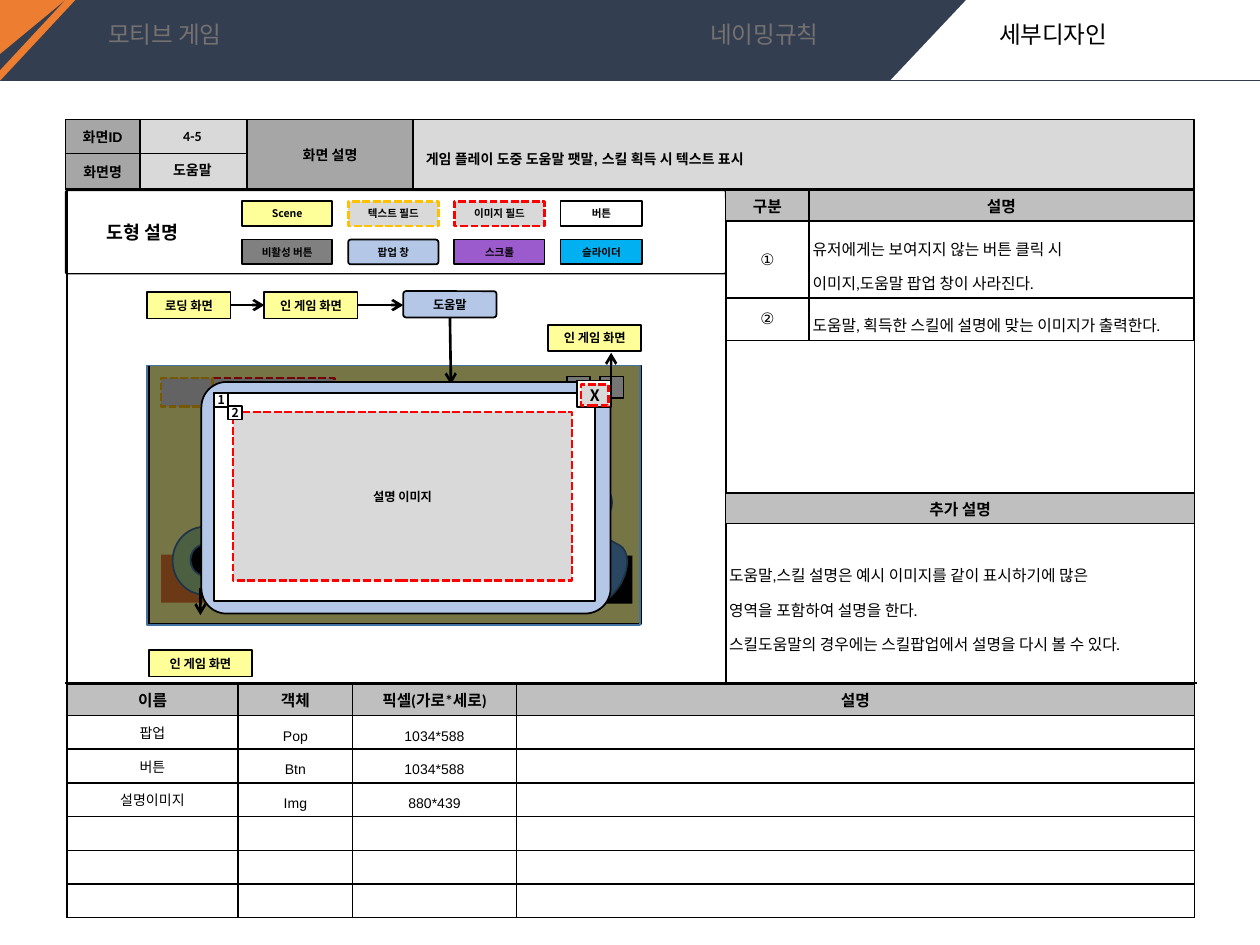
from dataclasses import dataclass
from typing import NamedTuple, Optional

from lxml import etree
from pptx import Presentation
from pptx import util as u
from pptx.dml.color import RGBColor
from pptx.enum import dml, shapes, text
from pptx.oxml.ns import qn

BLACK = RGBColor(0x00, 0x00, 0x00)
WHITE = RGBColor(0xFF, 0xFF, 0xFF)
NAVY = RGBColor(0x33, 0x3F, 0x50)
ORANGE = RGBColor(0xED, 0x7D, 0x31)
MUTED = RGBColor(0x76, 0x71, 0x71)
DARK_GRAY = RGBColor(0x80, 0x80, 0x80)
LABEL_GRAY = RGBColor(0xA6, 0xA6, 0xA6)
HEAD_GRAY = RGBColor(0xBF, 0xBF, 0xBF)
LIGHT_GRAY = RGBColor(0xD9, 0xD9, 0xD9)
YELLOW = RGBColor(0xFF, 0xFF, 0x99)
GOLD = RGBColor(0xFF, 0xC0, 0x00)
RED = RGBColor(0xFF, 0x00, 0x00)
PALE_BLUE = RGBColor(0xB4, 0xC7, 0xE7)
SKY = RGBColor(0x00, 0xB0, 0xF0)
BLUE = RGBColor(0x5B, 0x9B, 0xD5)
EDGE_BLUE = RGBColor(0x43, 0x73, 0x9E)
PURPLE = RGBColor(0x9C, 0x5B, 0xCD)
GREEN = RGBColor(0xA9, 0xD1, 0x8E)

KOREAN = "Noto Sans CJK KR"
CENTER, LEFT = text.PP_ALIGN.CENTER, text.PP_ALIGN.LEFT
MIDDLE = text.MSO_ANCHOR.MIDDLE
RECT = shapes.MSO_SHAPE.RECTANGLE
ROUND = shapes.MSO_SHAPE.ROUNDED_RECTANGLE
OVAL = shapes.MSO_SHAPE.OVAL
SLANT = shapes.MSO_SHAPE.PARALLELOGRAM


@dataclass(frozen=True)
class Look:
    fill: Optional[RGBColor] = None
    line: Optional[RGBColor] = BLACK
    width: float = 1
    dashed: bool = False
    form: shapes.MSO_SHAPE = RECT
    bend: Optional[float] = None
    alpha: Optional[int] = None


@dataclass(frozen=True)
class Type:
    size: float
    font: str = KOREAN
    bold: bool = True
    align: text.PP_ALIGN = CENTER
    spacing: Optional[float] = None
    color: RGBColor = BLACK


class Item(NamedTuple):
    look: Look
    place: tuple
    words: str = ""
    size: float = 7


class Cell(NamedTuple):
    words: str = ""
    kind: Type = Type(8, "Arial")
    fill: Optional[RGBColor] = WHITE


SCENE = Look(YELLOW)
BUTTON = Look(WHITE)
POPUP = Look(PALE_BLUE, form=ROUND, bend=0.109)
TEXT_FIELD = Look(LIGHT_GRAY, GOLD, 1.5, True)
IMAGE_FIELD = Look(LIGHT_GRAY, RED, 1.5, True)
HEADING = Type(9, "Calibri")
NOTE = Type(9, "Calibri", False, LEFT, 1.5)
NUMBER = Type(9, "Arial", False)
NAME = Type(8, "Arial", False)
VALUE = Type(8, "Arial", False, spacing=1.5)


def cm(values: tuple) -> list:
    return [u.Cm(value) for value in values]


def write(frame, words: str, kind: Type) -> None:
    para = frame.paragraphs[0]
    para.text = words
    para.alignment = kind.align
    if kind.spacing:
        para.line_spacing = kind.spacing
    for span in para.runs:
        font = span.font
        font.size, font.bold, font.name = u.Pt(kind.size), kind.bold, kind.font
        font.color.rgb = kind.color
        etree.SubElement(font._element, qn("a:ea"), typeface=KOREAN)
    if not words:
        etree.SubElement(para._p, qn("a:endParaRPr"), sz=str(int(kind.size * 100)))


def paint(box, look: Look) -> None:
    box.shadow.inherit = False
    if look.fill is None:
        box.fill.background()
    else:
        box.fill.solid()
        box.fill.fore_color.rgb = look.fill
    if look.alpha:
        color = box.fill._xPr.find(qn("a:solidFill"))[0]
        etree.SubElement(color, qn("a:alpha"), val=str(look.alpha * 1000))
    if look.line is None:
        box.line.fill.background()
    else:
        box.line.color.rgb = look.line
        box.line.width = u.Pt(look.width)
    if look.dashed:
        box.line.dash_style = dml.MSO_LINE.SQUARE_DOT


def draw(page, item: Item) -> None:
    box = page.shapes.add_shape(item.look.form, *cm(item.place))
    if item.look.bend is not None:
        box.adjustments[0] = item.look.bend
    paint(box, item.look)
    if item.words:
        frame = box.text_frame
        frame.margin_left = frame.margin_right = frame.margin_top = frame.margin_bottom = 0
        frame.vertical_anchor = MIDDLE
        write(frame, item.words, Type(item.size))


def outline(page, points: list, look: Look) -> None:
    builder = page.shapes.build_freeform(*cm(points[0]), scale=1.0)
    builder.add_line_segments([cm(point) for point in points[1:]], close=True)
    paint(builder.convert_to_shape(), look)


def curve(start: tuple, *controls: tuple) -> list:
    corners = (start, *controls)
    weights = lambda t: ((1 - t) ** 3, 3 * t * (1 - t) ** 2, 3 * t * t * (1 - t), t ** 3)
    return [tuple(sum(w * c[axis] for w, c in zip(weights(step / 8), corners)) for axis in (0, 1))
            for step in range(1, 9)]


def connect(page, ends: tuple, width: float = 1.5, arrow: bool = True) -> None:
    line = page.shapes.add_connector(shapes.MSO_CONNECTOR.STRAIGHT, *cm(ends))
    line.line.color.rgb = BLACK
    line.line.width = u.Pt(width)
    if arrow:
        etree.SubElement(line.line._ln, qn("a:tailEnd"), type="arrow")
    etree.SubElement(line._element.spPr, qn("a:effectLst"))


def label(page, place: tuple, words: str, kind: Type) -> None:
    box = page.shapes.add_textbox(*cm(place))
    box.text_frame.word_wrap = True
    write(box.text_frame, words, kind)


def grid(page, corner: tuple, columns: tuple, rows: tuple, cells: list):
    table = page.shapes.add_table(len(rows), len(columns), *cm((*corner, sum(columns), sum(rows)))).table
    table.first_row = table.horz_banding = False
    for column, width in zip(table.columns, columns):
        column.width = u.Cm(width)
    for row, height, entries in zip(table.rows, rows, cells):
        row.height = u.Cm(height)
        for cell, entry in zip(row.cells, entries):
            cell.margin_left = cell.margin_right = cell.margin_top = cell.margin_bottom = u.Cm(0.07)
            cell.vertical_anchor = MIDDLE
            write(cell.text_frame, entry.words, entry.kind)
            for side in ("lnL", "lnR", "lnT", "lnB"):
                edge = etree.SubElement(cell._tc.get_or_add_tcPr(), qn(f"a:{side}"), w=str(u.Pt(1)))
                etree.SubElement(etree.SubElement(edge, qn("a:solidFill")), qn("a:srgbClr"), val=str(BLACK))
            if entry.fill is None:
                cell.fill.background()
            else:
                cell.fill.solid()
                cell.fill.fore_color.rgb = entry.fill
    return table


def fill_body(page, box, place: tuple, words: str, kind: Type, before: float) -> None:
    box.left, box.top, box.width, box.height = cm(place)
    frame = box.text_frame
    frame.auto_size = text.MSO_AUTO_SIZE.NONE
    frame.vertical_anchor = MIDDLE
    write(frame, words, kind)
    para = frame.paragraphs[0]
    para.space_before = u.Pt(before)
    settings = para._p.get_or_add_pPr()
    settings.set("marL", "0")
    settings.set("indent", "0")
    etree.SubElement(settings, qn("a:buNone"))
    page.shapes.element.append(box.element)


def draw_header(page) -> None:
    draw(page, Item(Look(), (1.35, 2.41, 22.73, 16.05)))
    draw(page, Item(Look(NAVY, None), (0, 0, 25.4, 1.63)))
    draw(page, Item(Look(WHITE, None, form=SLANT, bend=0.943), (17.96, -0.02, 7.44, 1.63)))
    outline(page, [(1.32, 0), (1.52, 0), (0, 1.63), (0, 1.42)], Look(ORANGE, None))
    outline(page, [(0, 0), (1.32, 0), (0, 1.09)], Look(ORANGE, None))
    for left, words, color in ((14.07, "네이밍규칙", MUTED), (19.89, "세부디자인", BLACK), (1.93, "모티브 게임", MUTED)):
        label(page, (left, 0.28, 3.9, 0.84), words, Type(13.5, "Calibri", False, LEFT, color=color))
    draw(page, Item(Look(WHITE, None), (23.72, -0.02, 1.68, 1.63)))
    tag, blank = LABEL_GRAY, Cell(fill=LIGHT_GRAY)
    table = grid(page, (1.32, 2.41), (1.5, 2.16, 3.35, 15.73), (0.69, 0.71),
                 [[Cell("화면ID", fill=tag), blank, Cell("화면 설명", fill=tag), blank],
                  [Cell("화면명", fill=tag), blank, Cell(fill=tag), blank]])
    for column in (2, 3):
        table.cell(0, column).merge(table.cell(1, column))
    short, long = Type(8, "Arial", spacing=0.9), Type(8, "Arial", align=LEFT, spacing=1.5)
    bodies = {box.placeholder_format.idx: box for box in page.placeholders}
    fill_body(page, bodies[1], (8.33, 2.44, 15.72, 1.37), "게임 플레이 도중 도움말 팻말, 스킬 획득 시 텍스트 표시", long, 0)
    fill_body(page, bodies[2], (2.79, 3.1, 2.18, 0.71), "도움말", short, 10)
    fill_body(page, bodies[3], (2.79, 2.41, 2.18, 0.69), "4-5", Type(8, "Calibri", spacing=0.9), 10)
    for index in (0, 4):
        page.shapes.element.remove(bodies[index].element)


def draw_legend(page) -> None:
    draw(page, Item(Look(width=0.75, form=ROUND, bend=0.021), (1.32, 3.84, 13.31, 1.68)))
    label(page, (1.9, 4.34, 2.39, 0.71), "도형 설명", Type(10.5, "Calibri", align=LEFT))
    legend = ((("Scene", SCENE), ("텍스트 필드", TEXT_FIELD), ("이미지 필드", IMAGE_FIELD), ("버튼", BUTTON)),
              (("비활성 버튼", Look(DARK_GRAY)), ("팝업 창", POPUP), ("스크롤", Look(PURPLE)), ("슬라이더", Look(SKY))))
    for row, entries in enumerate(legend):
        for column, (words, look) in enumerate(entries):
            width = 1.65 if column == 3 else 1.82
            draw(page, Item(look, (4.88 + 2.14 * column, 4.06 + 0.77 * row, width, 0.5), words, 6))
    connect(page, (14.63, 3.84, 14.63, 13.77), 1, False)
    connect(page, (1.32, 13.77, 24.13, 13.77), 1, False)


def draw_game(page) -> None:
    for item in (Item(SCENE, (3, 7.37, 9.93, 5.21)), Item(Look(BLACK, None), (5.94, 11.2, 6.81, 0.97)),
                 Item(BUTTON, (11.43, 7.59, 0.46, 0.43)), Item(BUTTON, (12.09, 7.59, 0.48, 0.43)),
                 Item(Look(ORANGE, None), (3.25, 11.18, 2.69, 0.97)),
                 Item(Look(GREEN, EDGE_BLUE, form=OVAL), (3.48, 10.62, 1.3, 1.37)),
                 Item(Look(BLACK, EDGE_BLUE, form=OVAL), (3.84, 10.97, 0.61, 0.64)),
                 Item(IMAGE_FIELD, (4.29, 7.62, 2.46, 0.25)), Item(TEXT_FIELD, (3.25, 7.62, 1.04, 0.58)),
                 Item(Look(BLUE, EDGE_BLUE, form=OVAL), (11.48, 9.7, 0.86, 0.86))):
        draw(page, item)
    outline(page, [(12.17, 10.82), (12.5, 11), *curve((12.5, 11), (12.67, 11.1), (12.7, 11.43), (12.52, 11.76)),
                   *curve((12.52, 11.76), (12.34, 12.07), (12.07, 12.24), (11.89, 12.14)), (11.56, 11.96),
                   *curve((11.56, 11.96), (11.66, 11.76), (11.99, 11.68), (12.09, 11.48))], Look(BLUE, EDGE_BLUE))
    draw(page, Item(Look(BLACK, EDGE_BLUE, alpha=54), (2.97, 7.37, 9.93, 5.23)))


def draw_flow(page) -> None:
    for item in (Item(SCENE, (2.97, 5.89, 1.68, 0.53), "로딩 화면"), Item(SCENE, (5.33, 5.89, 1.88, 0.53), "인 게임 화면"),
                 Item(POPUP, (8.13, 5.87, 1.88, 0.53), "도움말"), Item(SCENE, (11.05, 6.55, 1.88, 0.53), "인 게임 화면"),
                 Item(SCENE, (3, 13.11, 2.08, 0.53), "인 게임 화면")):
        draw(page, item)
    for ends in ((9.07, 6.4, 9.09, 7.75), (4.65, 6.15, 5.33, 6.15), (7.21, 6.15, 8.13, 6.15), (12.32, 7.95, 12.32, 7.11)):
        connect(page, ends)
    for item in (Item(POPUP, (4.06, 7.7, 8.25, 4.67)), Item(BUTTON, (4.32, 7.92, 7.67, 4.19)),
                 Item(BUTTON, (4.32, 7.92, 0.28, 0.28), "1"), Item(IMAGE_FIELD, (4.7, 8.31, 6.83, 3.4), "설명 이미지"),
                 Item(BUTTON, (4.6, 8.18, 0.28, 0.28), "2"), Item(BUTTON, (11.63, 7.67, 0.69, 0.53)),
                 Item(IMAGE_FIELD, (11.71, 7.75, 0.56, 0.43), "X", 9)):
        draw(page, item)
    connect(page, (4.04, 11.86, 4.04, 12.4))


def draw_tables(page) -> None:
    heads = lambda *names: [Cell(name, HEADING, HEAD_GRAY) for name in names]
    grid(page, (14.63, 3.84), (1.68, 7.75), (0.62, 1.55, 0.85),
         [[Cell(name, Type(9, "Arial"), HEAD_GRAY) for name in ("구분", "설명")],
          [Cell("①", NUMBER, None), Cell("유저에게는 보여지지 않는 버튼 클릭 시\n이미지,도움말 팝업 창이 사라진다.", NOTE, None)],
          [Cell("②", NUMBER, None), Cell("도움말, 획득한 스킬에 설명에 맞는 이미지가 출력한다.", NOTE, None)]])
    objects = [("팝업", "Pop", "1034*588"), ("버튼", "Btn", "1034*588"), ("설명이미지", "Img", "880*439")]
    rows = [[Cell(name, NAME), Cell(kind, VALUE), Cell(size, VALUE), Cell()] for name, kind, size in objects]
    grid(page, (1.35, 13.8), (3.45, 2.31, 3.3, 13.67), (0.62, *[0.68] * 6),
         [heads("이름", "객체", "픽셀(가로*세로)", "설명"), *rows, *[[Cell()] * 4] * 3])
    extra = "도움말,스킬 설명은 예시 이미지를 같이 표시하기에 많은\n영역을 포함하여 설명을 한다.\n스킬도움말의 경우에는 스킬팝업에서 설명을 다시 볼 수 있다."
    grid(page, (14.63, 9.94), (9.45,), (0.61, 3.23), [heads("추가 설명"), [Cell(extra, NOTE, None)]])


def main() -> None:
    deck = Presentation()
    deck.slide_width, deck.slide_height = cm((25.4, 19.05))
    page = deck.slides.add_slide(deck.slide_layouts[4])
    for part in (draw_header, draw_legend, draw_game, draw_flow, draw_tables):
        part(page)
    deck.save("out.pptx")


if __name__ == "__main__":
    main()
